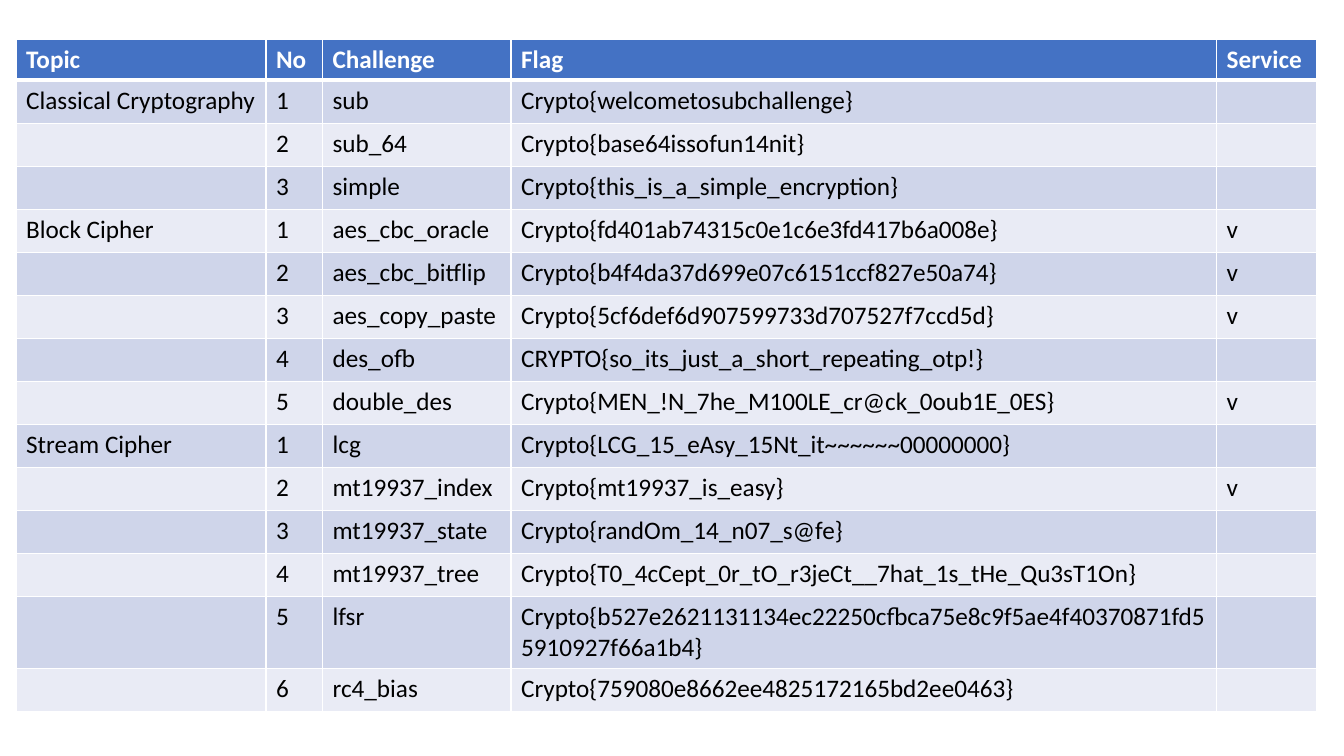
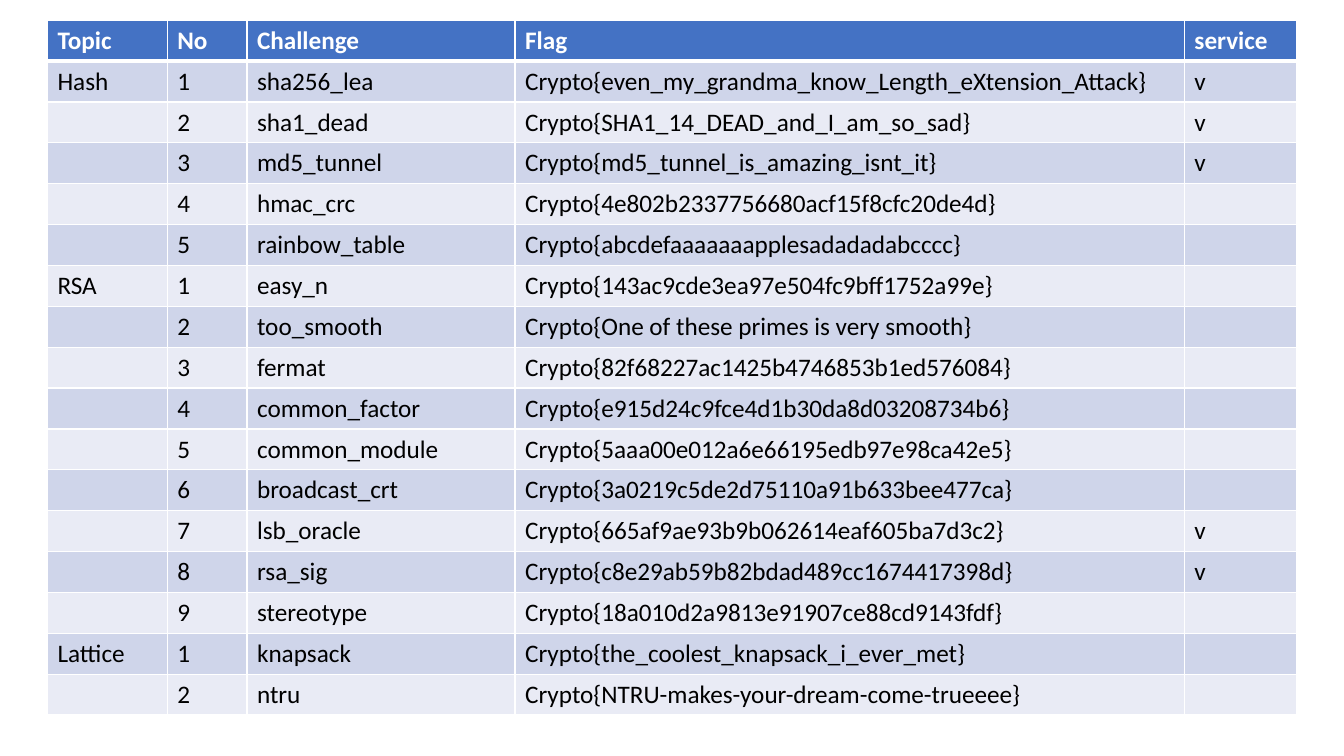
"""Build two slides of challenge tables grouped by cryptography topic."""
from dataclasses import dataclass

from lxml import etree
from pptx import Presentation
from pptx.dml.color import RGBColor
from pptx.oxml.ns import qn
from pptx.util import Inches, Pt

WHITE = RGBColor(0xFF, 0xFF, 0xFF)
BLACK = RGBColor(0x00, 0x00, 0x00)
HEADER_BLUE = RGBColor(0x44, 0x72, 0xC4)
BANDS = (RGBColor(0xE9, 0xEB, 0xF5), RGBColor(0xCF, 0xD5, 0xEA))

SLIDE_W, SLIDE_H = Inches(13.33), Inches(7.5)
BLANK_LAYOUT = 6
HEADER_H = 5.4
THIN, THICK = Pt(1), Pt(3)
BODY_FONT = {"name": "Calibri", "size": Pt(18), "bold": False}
HEADER_FONT = {**BODY_FONT, "bold": True}


@dataclass(frozen=True)
class Challenge:
    name: str
    flag: str
    service: str = ""


@dataclass(frozen=True)
class Topic:
    name: str
    challenges: tuple[Challenge, ...]


@dataclass(frozen=True)
class TopicTable:
    """A table placed and sized in percent of the slide."""
    left: float
    top: float
    columns: tuple[float, ...]
    row_h: float
    service_label: str
    topics: tuple[Topic, ...]

    def rows(self) -> list[tuple[str, ...]]:
        rows = [("Topic", "No", "Challenge", "Flag", self.service_label)]
        for topic in self.topics:
            for no, c in enumerate(topic.challenges, 1):
                label = topic.name if no == 1 else ""
                rows.append((label, str(no), c.name, c.flag, c.service))
        return rows


TABLES = (
    TopicTable(1.2, 5.2, (18.6, 4.2, 14.03, 52.5, 7.43), 5.7, "Service", (
        Topic("Classical Cryptography", (
            Challenge("sub", "Crypto{welcometosubchallenge}"),
            Challenge("sub_64", "Crypto{base64issofun14nit}"),
            Challenge("simple", "Crypto{this_is_a_simple_encryption}"),
        )),
        Topic("Block Cipher", (
            Challenge("aes_cbc_oracle", "Crypto{fd401ab74315c0e1c6e3fd417b6a008e}", "v"),
            Challenge("aes_cbc_bitflip", "Crypto{b4f4da37d699e07c6151ccf827e50a74}", "v"),
            Challenge("aes_copy_paste", "Crypto{5cf6def6d907599733d707527f7ccd5d}", "v"),
            Challenge("des_ofb", "CRYPTO{so_its_just_a_short_repeating_otp!}"),
            Challenge("double_des", "Crypto{MEN_!N_7he_M100LE_cr@ck_0oub1E_0ES}", "v"),
        )),
        Topic("Stream Cipher", (
            Challenge("lcg", "Crypto{LCG_15_eAsy_15Nt_it~~~~~~00000000}"),
            Challenge("mt19937_index", "Crypto{mt19937_is_easy}", "v"),
            Challenge("mt19937_state", "Crypto{randOm_14_n07_s@fe}"),
            Challenge("mt19937_tree", "Crypto{T0_4cCept_0r_tO_r3jeCt__7hat_1s_tHe_Qu3sT1On}"),
            Challenge("lfsr", "Crypto{b527e2621131134ec22250cfbca75e8c9f5ae4f40370871fd55910927f66a1b4}"),
            Challenge("rc4_bias", "Crypto{759080e8662ee4825172165bd2ee0463}"),
        )),
    )),
    TopicTable(3.53, 2.67, (8.92, 5.93, 19.95, 49.8, 8.33), 5.4, "service", (
        Topic("Hash", (
            Challenge("sha256_lea", "Crypto{even_my_grandma_know_Length_eXtension_Attack}", "v"),
            Challenge("sha1_dead", "Crypto{SHA1_14_DEAD_and_I_am_so_sad}", "v"),
            Challenge("md5_tunnel", "Crypto{md5_tunnel_is_amazing_isnt_it}", "v"),
            Challenge("hmac_crc", "Crypto{4e802b2337756680acf15f8cfc20de4d}"),
            Challenge("rainbow_table", "Crypto{abcdefaaaaaaapplesadadadabcccc}"),
        )),
        Topic("RSA", (
            Challenge("easy_n", "Crypto{143ac9cde3ea97e504fc9bff1752a99e}"),
            Challenge("too_smooth", "Crypto{One of these primes is very smooth}"),
            Challenge("fermat", "Crypto{82f68227ac1425b4746853b1ed576084}"),
            Challenge("common_factor", "Crypto{e915d24c9fce4d1b30da8d03208734b6}"),
            Challenge("common_module", "Crypto{5aaa00e012a6e66195edb97e98ca42e5}"),
            Challenge("broadcast_crt", "Crypto{3a0219c5de2d75110a91b633bee477ca}"),
            Challenge("lsb_oracle", "Crypto{665af9ae93b9b062614eaf605ba7d3c2}", "v"),
            Challenge("rsa_sig", "Crypto{c8e29ab59b82bdad489cc1674417398d}", "v"),
            Challenge("stereotype", "Crypto{18a010d2a9813e91907ce88cd9143fdf}"),
        )),
        Topic("Lattice", (
            Challenge("knapsack", "Crypto{the_coolest_knapsack_i_ever_met}"),
            Challenge("ntru", "Crypto{NTRU-makes-your-dream-come-trueeee}"),
        )),
    )),
)


def across(percent: float) -> int:
    return round(SLIDE_W * percent / 100)


def down(percent: float) -> int:
    return round(SLIDE_H * percent / 100)


def set_borders(cell, top: int, bottom: int) -> None:
    tc_pr = cell._tc.get_or_add_tcPr()
    for side, width in {"L": THIN, "R": THIN, "T": top, "B": bottom}.items():
        ln = etree.SubElement(tc_pr, qn(f"a:ln{side}"), w=str(width))
        fill = etree.SubElement(ln, qn("a:solidFill"))
        etree.SubElement(fill, qn("a:srgbClr"), val=str(WHITE))


def format_cell(cell, text: str, row: int) -> None:
    header = row == 0
    set_borders(cell, THICK if row == 1 else THIN, THICK if header else THIN)
    cell.fill.solid()
    cell.fill.fore_color.rgb = HEADER_BLUE if header else BANDS[row % 2]
    if text:
        r = cell.text_frame.paragraphs[0].add_run()
        r.text = text
        for name, value in (HEADER_FONT if header else BODY_FONT).items():
            setattr(r.font, name, value)
        r.font.color.rgb = WHITE if header else BLACK


def draw_table(s, spec: TopicTable) -> None:
    rows = spec.rows()
    heights = [down(HEADER_H)] + [down(spec.row_h)] * (len(rows) - 1)
    widths = [across(c) for c in spec.columns]
    table = s.shapes.add_table(len(rows), len(widths), across(spec.left),
                               down(spec.top), sum(widths), sum(heights)).table
    for column, width in zip(table.columns, widths):
        column.width = width
    for i, (row, height, texts) in enumerate(zip(table.rows, heights, rows)):
        row.height = height
        for cell, text in zip(row.cells, texts):
            format_cell(cell, text, i)


def main() -> None:
    prs = Presentation()
    prs.slide_width, prs.slide_height = SLIDE_W, SLIDE_H
    for table in TABLES:
        draw_table(prs.slides.add_slide(prs.slide_layouts[BLANK_LAYOUT]), table)
    prs.save("out.pptx")


if __name__ == "__main__":
    main()
